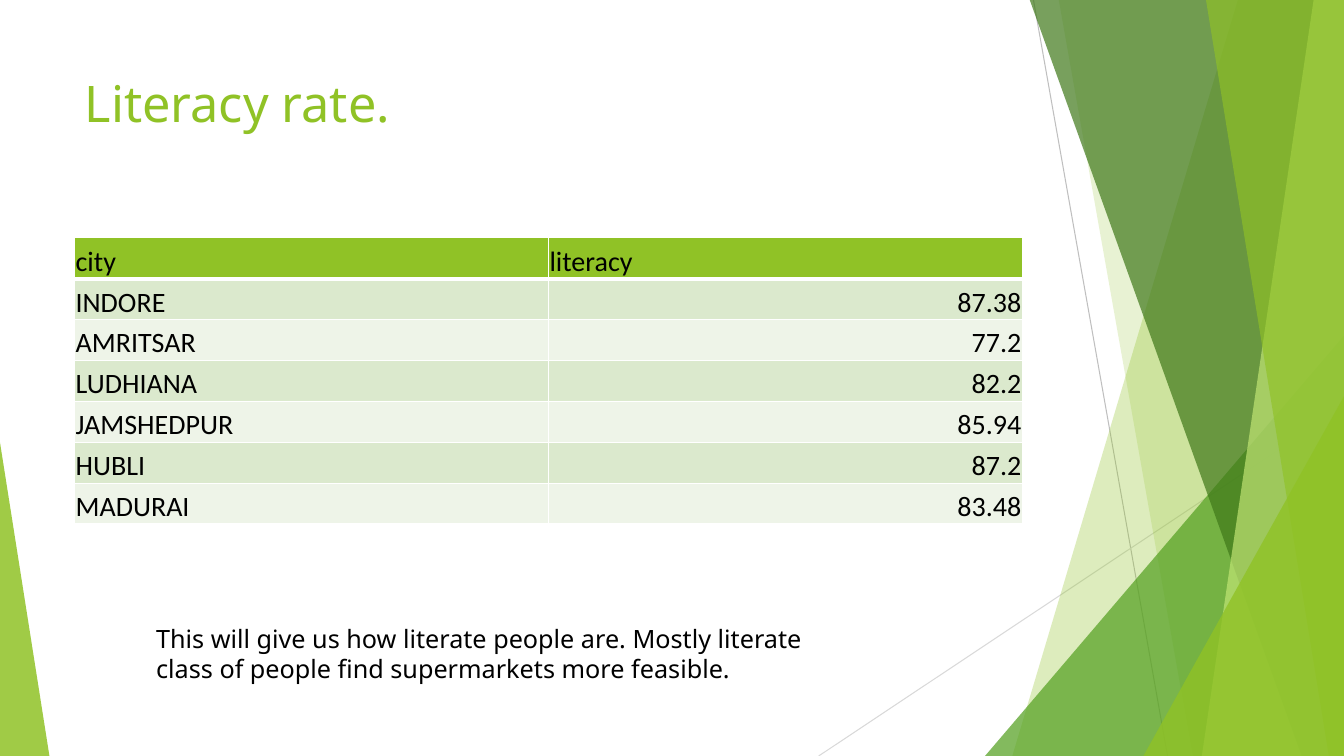
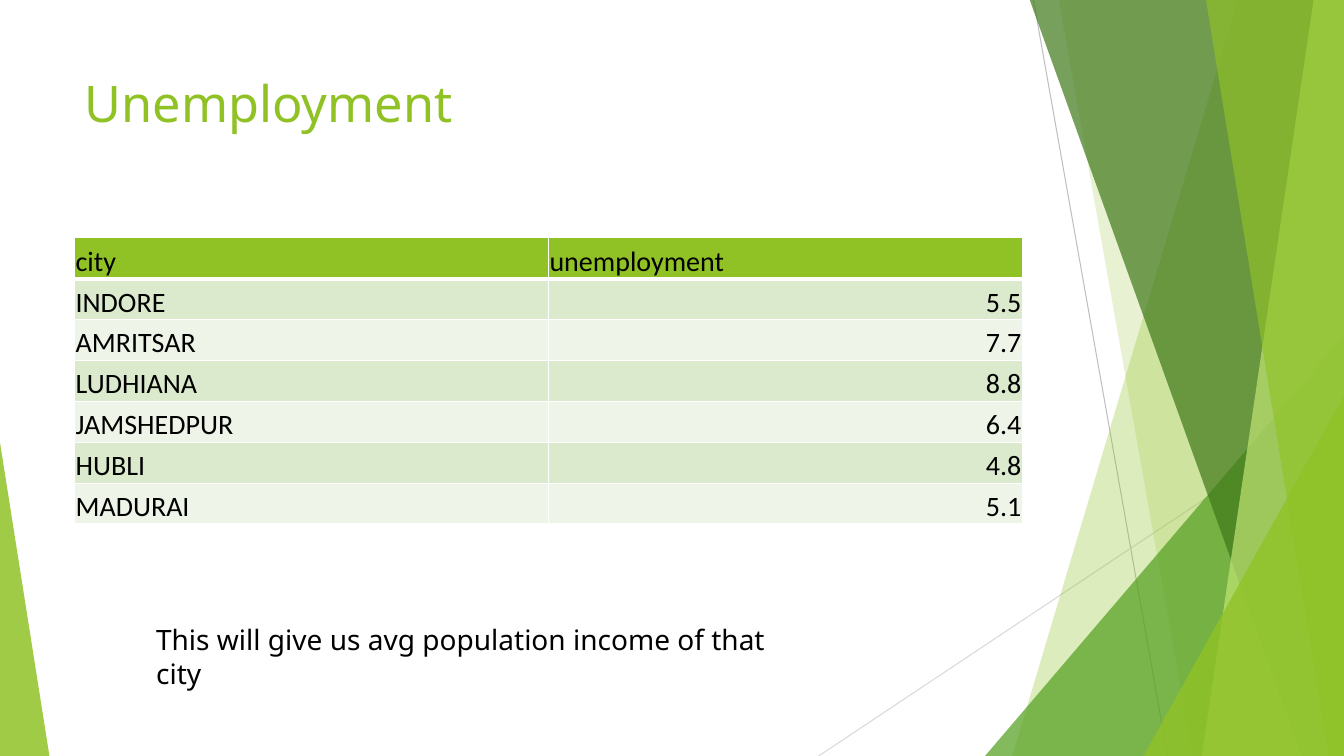
"""Build two slides of city statistics on a shared faceted green layout."""
from lxml import etree
from pptx import Presentation
from pptx.dml.color import RGBColor
from pptx.enum.shapes import MSO_CONNECTOR, MSO_SHAPE
from pptx.enum.text import MSO_ANCHOR, MSO_AUTO_SIZE, PP_ALIGN
from pptx.oxml.ns import qn
from pptx.util import Inches, Pt

WIDTH, HEIGHT, TOP = 13.33, 7.5, -0.01
LEFT, CONTENT_WIDTH = 0.74, 9.4
GREEN, MID_GREEN, DARK_GREEN, LIME = "90C226", "54A021", "3F7819", "C0E474"
BANDS = ("DBE9CD", "EEF4E8")
WHITE, BLACK = "FFFFFF", "000000"
TEXT_FONT, TABLE_FONT = "Noto Sans", "Calibri"
CITIES = ("INDORE", "AMRITSAR", "LUDHIANA", "JAMSHEDPUR", "HUBLI", "MADURAI")


def rgb(value):
    return RGBColor.from_string(value)


def fill_shape(shape, color, opacity):
    shape.shadow.inherit = False
    shape.line.fill.background()
    shape.fill.solid()
    shape.fill.fore_color.rgb = rgb(color)
    swatch = shape.element.spPr.find(qn("a:solidFill"))[0]
    etree.SubElement(swatch, qn("a:alpha"), val=str(opacity * 1000))
    return shape


def add_line(slide, start, end, color):
    ends = [Inches(v) for v in (*start, *end)]
    line = slide.shapes.add_connector(MSO_CONNECTOR.STRAIGHT, *ends)
    line.line.color.rgb = rgb(color)
    line.line.width = Pt(0.75)
    etree.SubElement(line.element.spPr, qn("a:effectLst"))
    return line


def add_facet(slide, top_x, bottom_x, color, opacity):
    corners = [(top_x, TOP), (WIDTH, TOP), (WIDTH, HEIGHT), (bottom_x, HEIGHT)]
    points = [(Inches(x), Inches(y)) for x, y in corners]
    builder = slide.shapes.build_freeform(*points[0])
    builder.add_line_segments(points[1:], close=True)
    return fill_shape(builder.convert_to_shape(), color, opacity)


def add_triangle(slide, left, top, width, apex, color, opacity):
    box = [Inches(v) for v in (left, top, width, HEIGHT - top)]
    triangle = slide.shapes.add_shape(MSO_SHAPE.ISOSCELES_TRIANGLE, *box)
    triangle.adjustments[0] = apex
    return fill_shape(triangle, color, opacity)


def decorate_layout(layout, slide):
    decorations = [
        add_line(slide, (10.25, 0), (11.58, HEIGHT), "BFBFBF"),
        add_line(slide, (WIDTH, 4.03), (8.12, HEIGHT), "D9D9D9"),
        add_facet(slide, 12.28, 10.04, GREEN, 30),
        add_facet(slide, 10.5, 11.83, GREEN, 20),
        add_triangle(slide, 9.77, 3.33, 3.56, 1, MID_GREEN, 72),
        add_facet(slide, 10.21, 12.91, DARK_GREEN, 70),
        add_facet(slide, 13.03, 11.92, LIME, 70),
        add_facet(slide, 11.96, 13.18, GREEN, 65),
        add_triangle(slide, 11.34, 3.93, 1.99, 1, GREEN, 80),
        add_triangle(slide, 0, 4.39, 0.49, 0, GREEN, 85),
    ]
    tree = layout.shapes.element
    for index, shape in enumerate(decorations):
        shape.element.xpath(".//p:cNvPr")[0].set("id", str(100 + index))
        tree.insert(2 + index, shape.element)


def write(frame, text, size, font, color, align=PP_ALIGN.LEFT):
    paragraph = frame.paragraphs[0]
    paragraph.alignment = align
    run = paragraph.add_run()
    run.text = text
    run.font.size, run.font.name = Pt(size), font
    run.font.bold = False
    run.font.color.rgb = rgb(color)


def set_title(slide, text):
    title = slide.shapes.title
    title.left, title.top = Inches(LEFT), Inches(0.67)
    title.width, title.height = Inches(CONTENT_WIDTH), Inches(1.44)
    title.text_frame.vertical_anchor = MSO_ANCHOR.TOP
    write(title.text_frame, text, 36, TEXT_FONT, GREEN)


def set_borders(cell, top, bottom):
    properties = cell._tc.get_or_add_tcPr()
    for side, points in (("L", 1), ("R", 1), ("T", top), ("B", bottom)):
        line = etree.SubElement(properties, qn(f"a:ln{side}"), w=str(Pt(points)))
        fill = etree.SubElement(line, qn("a:solidFill"))
        etree.SubElement(fill, qn("a:srgbClr"), val=WHITE)


def add_city_table(slide, measure, values):
    rows = [("city", measure), *zip(CITIES, values)]
    box = [Inches(v) for v in (LEFT, 2.36, CONTENT_WIDTH, 2.84)]
    table = slide.shapes.add_table(len(rows), 2, *box).table
    for r, row in enumerate(rows):
        for c, value in enumerate(row):
            cell = table.cell(r, c)
            set_borders(cell, 3 if r == 1 else 1, 3 if r == 0 else 1)
            cell.fill.solid()
            cell.fill.fore_color.rgb = rgb(BANDS[(r - 1) % 2] if r else GREEN)
            cell.margin_left = cell.margin_right = cell.margin_top = Inches(0.01)
            cell.margin_bottom = 0
            cell.vertical_anchor = MSO_ANCHOR.BOTTOM
            align = PP_ALIGN.RIGHT if r and c else PP_ALIGN.LEFT
            write(cell.text_frame, str(value), 20, TABLE_FONT, BLACK, align)


def add_note(slide, text, size, height):
    box = [Inches(v) for v in (1.45, 6.13, 6.67, height)]
    frame = slide.shapes.add_textbox(*box).text_frame
    frame.word_wrap = True
    frame.auto_size = MSO_AUTO_SIZE.SHAPE_TO_FIT_TEXT
    write(frame, text, size, TEXT_FONT, BLACK)


def main():
    deck = Presentation()
    deck.slide_width, deck.slide_height = Inches(WIDTH), Inches(HEIGHT)
    layout = deck.slide_layouts[5]
    literacy = deck.slides.add_slide(layout)
    unemployment = deck.slides.add_slide(layout)
    decorate_layout(layout, literacy)

    set_title(literacy, "Literacy rate.")
    add_city_table(literacy, "literacy", (87.38, 77.2, 82.2, 85.94, 87.2, 83.48))
    add_note(literacy, "This will give us how literate people are. Mostly literate "
             "class of people find supermarkets more feasible.", 18, 0.71)

    set_title(unemployment, "Unemployment")
    add_city_table(unemployment, "unemployment", (5.5, 7.7, 8.8, 6.4, 4.8, 5.1))
    add_note(unemployment, "This will give us avg population income of that city",
             20, 0.44)
    deck.save("out.pptx")


main()
